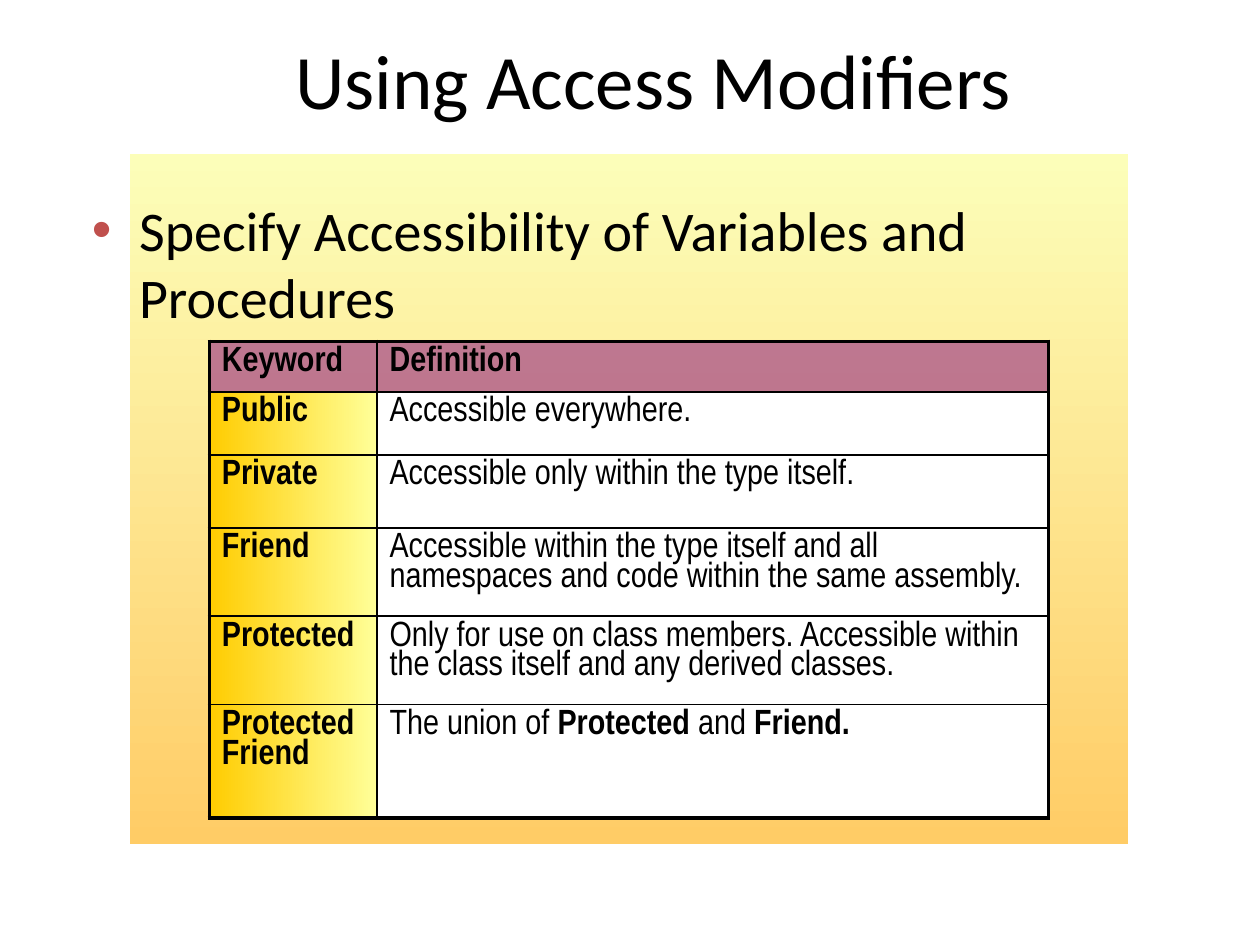
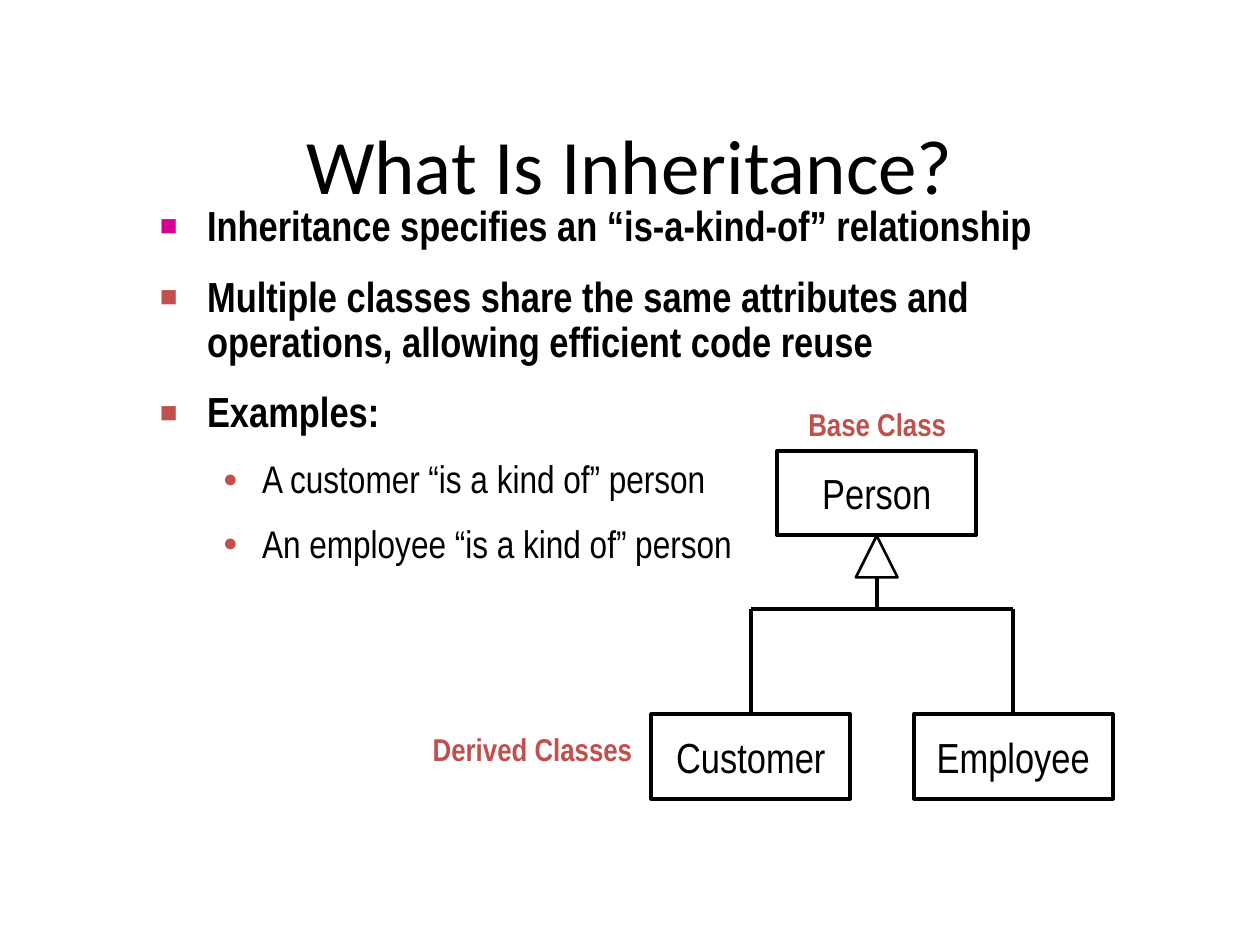
from lxml.etree import SubElement
from pptx import Presentation
from pptx.dml.color import RGBColor
from pptx.enum.shapes import MSO_CONNECTOR, MSO_SHAPE
from pptx.enum.text import MSO_ANCHOR, MSO_AUTO_SIZE, PP_ALIGN
from pptx.oxml.ns import qn
from pptx.util import Cm, Pt

COLOURS = {
    "text": "000000",
    "line": "000000",
    "box": "FFFFFF",
    "accent": "C0504D",
    "first bullet": "D60093",
    "header": "800080",
    "panel top": "FCFEB9",
    "panel bottom": "FFCC66",
    "keyword left": "FFCC00",
    "keyword right": "FFFF99",
}
TITLE_FONT = "Calibri"
DETAIL_FONT = "Arial Narrow"
PLAIN_TABLE_STYLE = "{2D5ABB26-0587-4C30-8999-92F81FD0307C}"

ACCESS_ROWS = [
    ("Keyword", [("Definition", True)]),
    ("Public", [("Accessible everywhere.", False)]),
    ("Private", [("Accessible only within the type itself.", False)]),
    ("Friend", [("Accessible within the type itself and all namespaces "
                 "and code within the same assembly.", False)]),
    ("Protected", [("Only for use on class members. Accessible within "
                    "the class itself and any derived classes.", False)]),
    ("Protected Friend", [("The union of ", False), ("Protected", True),
                          (" and ", False), ("Friend.", True)]),
]
ROW_HEIGHTS = [1.02, 1.27, 1.47, 1.78, 1.78, 2.29]
KEYWORD_WIDTH, DEFINITION_WIDTH = 3.38, 13.54
TABLE_LEFT, TABLE_TOP = 4.22, 6.88

INHERITANCE_POINTS = [
    (0, "Inheritance specifies an “is-a-kind-of” relationship"),
    (0, "Multiple classes share the same attributes and operations, "
        "allowing efficient code reuse"),
    (0, "Examples:"),
    (1, "A customer “is a kind of” person"),
    (1, "An employee “is a kind of” person"),
]


def colour(name):
    return RGBColor.from_string(COLOURS[name])


def add_run(paragraph, text, size, font=DETAIL_FONT, bold=False, color="text"):
    run = paragraph.add_run()
    run.text = text
    run.font.name = font
    run.font.size = Pt(size)
    run.font.bold = bold
    run.font.color.rgb = colour(color)


def set_space_before(paragraph, percent):
    """Set the gap above as a percentage of the line; call after line_spacing."""
    space = SubElement(paragraph._p.get_or_add_pPr(), qn("a:spcBef"))
    SubElement(space, qn("a:spcPct")).set("val", str(percent * 1000))


def set_bullet(paragraph, character, color, size, margin, hanging):
    properties = paragraph._p.get_or_add_pPr()
    properties.set("marL", str(Cm(margin)))
    properties.set("indent", str(-Cm(hanging)))
    bullet_colour = SubElement(properties, qn("a:buClr"))
    SubElement(bullet_colour, qn("a:srgbClr")).set("val", COLOURS[color])
    SubElement(properties, qn("a:buSzPct")).set("val", str(size * 1000))
    SubElement(properties, qn("a:buFont")).set("typeface", "Arial")
    SubElement(properties, qn("a:buChar")).set("char", character)


def place_placeholder(shape, left, top, width, height):
    """Move a placeholder and bring it in front of what is drawn so far."""
    shape.left, shape.top = Cm(left), Cm(top)
    shape.width, shape.height = Cm(width), Cm(height)
    shape.text_frame.auto_size = MSO_AUTO_SIZE.NONE
    shape._element.getparent().append(shape._element)
    return shape.text_frame


def add_title(slide, text, *place):
    frame = place_placeholder(slide.shapes.title, *place)
    frame.vertical_anchor = MSO_ANCHOR.MIDDLE
    paragraph = frame.paragraphs[0]
    paragraph.alignment = PP_ALIGN.CENTER
    add_run(paragraph, text, 44, TITLE_FONT)


def add_shape(slide, kind, left, top, width, height, line_width=None):
    """Add a white shape, outlined only when a line width is given."""
    shape = slide.shapes.add_shape(kind, Cm(left), Cm(top), Cm(width), Cm(height))
    shape.shadow.inherit = False
    shape.fill.solid()
    shape.fill.fore_color.rgb = colour("box")
    if line_width is None:
        shape.line.fill.background()
    else:
        shape.line.color.rgb = colour("line")
        shape.line.width = Pt(line_width)
    return shape


def fill_gradient(shape, start, end, angle):
    shape.fill.gradient()
    shape.fill.gradient_angle = angle
    for stop, name in zip(shape.fill.gradient_stops, (start, end)):
        stop.color.rgb = colour(name)


def add_class_box(slide, name, left, top):
    box = add_shape(slide, MSO_SHAPE.RECTANGLE, left, top, 4.01, 1.7, 2.25)
    box.text_frame.word_wrap = False
    box.text_frame.vertical_anchor = MSO_ANCHOR.MIDDLE
    paragraph = box.text_frame.paragraphs[0]
    paragraph.alignment = PP_ALIGN.CENTER
    add_run(paragraph, name, 24)
    return box


def add_label(slide, text, left, top, width, wrap):
    label = slide.shapes.add_textbox(Cm(left), Cm(top), Cm(width), Cm(1.02))
    label.text_frame.word_wrap = wrap
    paragraph = label.text_frame.paragraphs[0]
    paragraph.alignment = PP_ALIGN.CENTER
    add_run(paragraph, text, 18, bold=True, color="accent")


def add_line(slide, start_x, start_y, end_x, end_y):
    line = slide.shapes.add_connector(
        MSO_CONNECTOR.STRAIGHT, start_x, start_y, end_x, end_y)
    line.line.color.rgb = colour("line")
    line.line.width = Pt(2.25)
    SubElement(line._element.spPr, qn("a:effectLst"))
    return line


def set_borders(cell, widths):
    """Set border widths in points, in the order left, right, top, bottom."""
    properties = cell._tc.get_or_add_tcPr()
    for index, (side, width) in enumerate(zip("LRTB", widths)):
        border = properties.makeelement(qn(f"a:ln{side}"), {"w": str(Pt(width))})
        fill = SubElement(border, qn("a:solidFill"))
        SubElement(fill, qn("a:srgbClr")).set("val", COLOURS["line"])
        properties.insert(index, border)


def fill_cell(cell, is_header):
    """Tint a header cell half transparent; leave other cells clear."""
    if not is_header:
        cell.fill.background()
        return
    cell.fill.solid()
    cell.fill.fore_color.rgb = colour("header")
    tint = cell._tc.tcPr.find(".//" + qn("a:srgbClr"))
    SubElement(tint, qn("a:alpha")).set("val", "50000")


def add_access_table(slide):
    last_row = len(ACCESS_ROWS) - 1
    frame = slide.shapes.add_table(
        len(ACCESS_ROWS), 2, Cm(TABLE_LEFT), Cm(TABLE_TOP),
        Cm(KEYWORD_WIDTH + DEFINITION_WIDTH), Cm(sum(ROW_HEIGHTS)))
    table = frame.table
    table.first_row = table.horz_banding = False
    table._tbl.tblPr.find(qn("a:tableStyleId")).text = PLAIN_TABLE_STYLE
    for column, width in zip(table.columns, (KEYWORD_WIDTH, DEFINITION_WIDTH)):
        column.width = Cm(width)
    for row_index, (keyword, definition) in enumerate(ACCESS_ROWS):
        table.rows[row_index].height = Cm(ROW_HEIGHTS[row_index])
        for column_index, runs in enumerate(([(keyword, True)], definition)):
            cell = table.cell(row_index, column_index)
            fill_cell(cell, row_index == 0)
            outer_sides = (column_index == 0, column_index == 1,
                           row_index == 0, row_index == last_row)
            set_borders(cell, [2.25 if outer else 1 for outer in outer_sides])
            paragraph = cell.text_frame.paragraphs[0]
            paragraph.line_spacing = 0.9
            set_space_before(paragraph, 60)
            for text, bold in runs:
                add_run(paragraph, text, 20, bold=bold)


def build_access_slide(presentation):
    slide = presentation.slides.add_slide(presentation.slide_layouts[1])
    panel = add_shape(slide, MSO_SHAPE.RECTANGLE, 2.62, 3.1, 20.12, 13.92)
    fill_gradient(panel, "panel top", "panel bottom", 270)

    below_header = TABLE_TOP + ROW_HEIGHTS[0]
    height = sum(ROW_HEIGHTS[1:])
    add_shape(slide, MSO_SHAPE.RECTANGLE, TABLE_LEFT + KEYWORD_WIDTH,
              below_header, DEFINITION_WIDTH, height, 0.75)
    keywords = add_shape(slide, MSO_SHAPE.RECTANGLE, TABLE_LEFT,
                         below_header, KEYWORD_WIDTH, height, 0.75)
    fill_gradient(keywords, "keyword left", "keyword right", 0)

    add_title(slide, "Using Access Modifiers", 1.8, 0.41, 22.76, 2.34)
    body = place_placeholder(slide.placeholders[1], 1.6, 3.81, 22.86, 11.73)
    paragraph = body.paragraphs[0]
    set_space_before(paragraph, 20)
    set_bullet(paragraph, "•", "accent", 100, 0.95, 0.95)
    add_run(paragraph, "Specify Accessibility of Variables and Procedures",
            32, TITLE_FONT)
    add_access_table(slide)


def add_inheritance_list(slide):
    body = place_placeholder(slide.placeholders[1], 2.97, 4.01, 19.99, 11.91)
    for index, (level, text) in enumerate(INHERITANCE_POINTS):
        paragraph = body.add_paragraph() if index else body.paragraphs[0]
        paragraph.level = level
        paragraph.line_spacing = 0.9
        set_space_before(paragraph, 60)
        if level == 0:
            bullet_colour = "accent" if index else "first bullet"
            set_bullet(paragraph, "■", bullet_colour, 70, 0.95, 0.95)
            add_run(paragraph, text, 24, bold=True)
        else:
            set_bullet(paragraph, "●", "accent", 65, 2.06, 0.79)
            add_run(paragraph, text, 22)


def add_class_diagram(slide):
    derived = [add_class_box(slide, "Customer", 13.13, 14.4),
               add_class_box(slide, "Employee", 18.42, 14.4)]
    person = add_class_box(slide, "Person", 15.67, 9.09)
    branch_y = Cm(12.27)

    branch_ends = []
    for box in derived:
        middle = box.left + box.width // 2
        branch = add_line(slide, middle, box.top, middle, branch_y)
        branch.begin_connect(box, 0)
        branch_ends.append(middle)
    add_line(slide, branch_ends[0], branch_y, branch_ends[1], branch_y)

    arrow = add_shape(slide, MSO_SHAPE.ISOSCELES_TRIANGLE,
                      0, 10.8, 0.84, 0.84, 1.5)
    middle = person.left + person.width // 2
    arrow.left = middle - arrow.width // 2
    add_line(slide, middle, arrow.top + arrow.height, middle, branch_y)

    add_label(slide, "Base Class", 15.88, 8.05, 3.61, True)
    add_label(slide, "Derived Classes", 8.46, 14.6, 4.55, False)


def build_inheritance_slide(presentation):
    slide = presentation.slides.add_slide(presentation.slide_layouts[1])
    add_title(slide, "What Is Inheritance?", 1.27, 1.7, 22.86, 3.18)
    add_inheritance_list(slide)
    add_class_diagram(slide)


def main():
    presentation = Presentation()
    presentation.slide_width, presentation.slide_height = Cm(25.4), Cm(19.05)
    build_access_slide(presentation)
    build_inheritance_slide(presentation)
    presentation.save("out.pptx")


if __name__ == "__main__":
    main()
